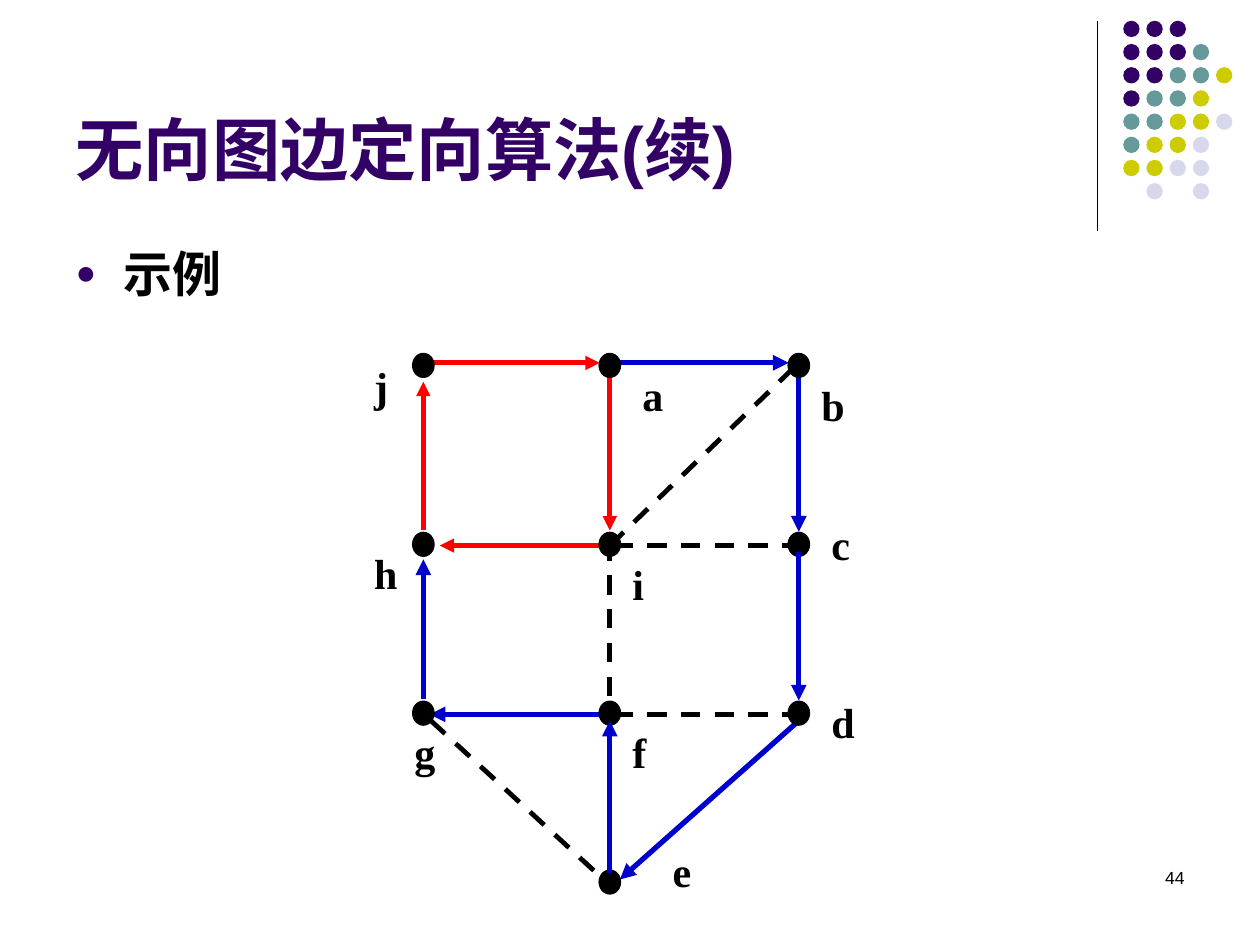
from dataclasses import dataclass

from lxml.etree import SubElement
from pptx import Presentation
from pptx.dml.color import RGBColor
from pptx.enum.dml import MSO_LINE
from pptx.enum.shapes import MSO_CONNECTOR, MSO_SHAPE
from pptx.enum.text import MSO_ANCHOR, MSO_AUTO_SIZE, PP_ALIGN
from pptx.oxml.ns import qn
from pptx.util import Inches, Pt


@dataclass(frozen=True)
class Theme:
    purple: str = "330066"
    teal: str = "669999"
    lime: str = "CCCC00"
    lilac: str = "D8D8EC"
    black: str = "000000"
    red: str = "FF0000"
    blue: str = "0000CC"
    font: str = "Arial"
    label_font: str = "Times New Roman"
    title_size: int = 39
    body_size: int = 28
    label_size: int = 24
    number_size: int = 10


THEME = Theme()

# Rows of the corner ornament: one letter per dot, a point for a gap
ORNAMENT = ("PPP..", "PPPT.", "PPTTL", "PTTL.", "TTLLV", "TLLV.", "LLVV.", ".V.V.")
ORNAMENT_COLORS = {"P": THEME.purple, "T": THEME.teal, "L": THEME.lime, "V": THEME.lilac}

# Graph lattice
COLUMNS = (3.36, 4.84, 6.34)
ROWS = (2.88, 4.33, 5.67, 6.98)
VERTEX_ROWS = (2.9, 4.32, 5.66, 7.0)

# Vertex: column, row, offset of its label box from the lattice point
VERTICES = {
    "j": (0, 0, -0.49, -0.07),
    "a": (1, 0, 0.16, 0),
    "b": (2, 0, 0.08, 0.08),
    "h": (0, 1, -0.49, -0.03),
    "i": (1, 1, 0.08, 0.05),
    "c": (2, 1, 0.16, -0.26),
    "g": (0, 2, -0.17, 0.05),
    "f": (1, 2, 0.08, 0.05),
    "d": (2, 2, 0.16, -0.19),
    "e": (1, 3, 0.4, -0.32),
}

# Edge: its two vertices, kind, offset of each end from the lattice point
EDGES_BELOW = (
    ("ib", "back", (0, 0), (0, 0)),
    ("ic", "back", (0.03, 0), (-0.03, 0)),
    ("fd", "back", (0.03, 0), (-0.03, 0)),
    ("ge", "back", (0.06, 0.05), (-0.05, 0)),
    ("if", "back", (0, -0.03), (0, 0.05)),
    ("ja", "cycle", (0.06, 0), (-0.08, 0)),
    ("ai", "cycle", (0, 0.07), (0, -0.12)),
    ("ih", "cycle", (0.08, 0), (0.13, 0)),
    ("hj", "cycle", (0, -0.12), (0, 0.15)),
    ("ab", "path", (0.08, 0), (-0.08, 0)),
    ("bc", "path", (0, 0.08), (0, -0.11)),
    ("de", "path", (0, 0.05), (0.08, 0)),
    ("fg", "path", (0, 0), (0.05, 0)),
    ("gh", "path", (0, -0.12), (0, 0.11)),
)
EDGES_ABOVE = (
    ("cd", "path", (0, 0.05), (0, -0.11)),
    ("ef", "path", (0, -0.05), (0, 0.05)),
)
EDGE_STYLES = {
    "back": {"color": THEME.black, "width": 2.75, "dashed": True},
    "cycle": {"color": THEME.red, "width": 2.75, "arrow": True},
    "path": {"color": THEME.blue, "width": 3, "arrow": True},
}


def write_text(tf, text, *, size, font=THEME.font, color=THEME.black, bold=False,
               align=PP_ALIGN.LEFT):
    p = tf.paragraphs[0]
    p.alignment = align
    p.space_before = Pt(0)
    r = p.add_run()
    r.text = text
    r.font.name = font
    r.font.size = Pt(size)
    r.font.bold = bold
    r.font.color.rgb = RGBColor.from_string(color)
    return p


def place(sp, left, top, width, height):
    sp.left, sp.top = Inches(left), Inches(top)
    sp.width, sp.height = Inches(width), Inches(height)


def add_text_box(slide, box, text, **text_format):
    tf = slide.shapes.add_textbox(*map(Inches, box)).text_frame
    tf.word_wrap = True
    write_text(tf, text, **text_format)


def add_dot(slide, center, size, color, outlined=False):
    (x, y), (width, height) = center, size
    box = x - width / 2, y - height / 2, width, height
    sp = slide.shapes.add_shape(MSO_SHAPE.OVAL, *map(Inches, box))
    sp.shadow.inherit = False
    sp.fill.solid()
    sp.fill.fore_color.rgb = RGBColor.from_string(color)
    if outlined:
        sp.line.color.rgb = RGBColor.from_string(color)
        sp.line.width = Pt(0.75)
    else:
        sp.line.fill.background()


def add_line(slide, start, end, *, color, width, dashed=False, arrow=False):
    line = slide.shapes.add_connector(MSO_CONNECTOR.STRAIGHT, *map(Inches, (*start, *end)))
    line.line.color.rgb = RGBColor.from_string(color)
    line.line.width = Pt(width)
    if dashed:
        line.line.dash_style = MSO_LINE.DASH
    if arrow:
        SubElement(line.line._get_or_add_ln(), qn("a:tailEnd"), type="triangle")
    SubElement(line._element.spPr, qn("a:effectLst"))


def add_bullet(p, indent):
    pPr = p._p.get_or_add_pPr()
    pPr.set("marL", str(Inches(indent)))
    pPr.set("indent", str(-Inches(indent)))
    SubElement(SubElement(pPr, qn("a:buClr")), qn("a:srgbClr"), val=THEME.purple)
    SubElement(pPr, qn("a:buSzPct"), val="70000")
    SubElement(pPr, qn("a:buChar"), char="●")


def add_ornament(slide):
    add_line(slide, (8.71, 0.17), (8.71, 1.83), color=THEME.black, width=0.75)
    left, top, pitch = 8.98, 0.23, 0.184
    for row, letters in enumerate(ORNAMENT):
        for col, letter in enumerate(letters):
            if letter in ORNAMENT_COLORS:
                add_dot(slide, (left + col * pitch, top + row * pitch), (0.13, 0.13),
                        ORNAMENT_COLORS[letter])


def add_heading(slide):
    title, body = slide.shapes.title, slide.placeholders[1]
    place(title, 0.5, 0.13, 8.25, 1.42)
    place(body, 0.5, 1.88, 9, 0.69)
    for sp, anchor in ((title, MSO_ANCHOR.BOTTOM), (body, MSO_ANCHOR.TOP)):
        sp.text_frame.auto_size = MSO_AUTO_SIZE.NONE
        sp.text_frame.vertical_anchor = anchor
    write_text(title.text_frame, "无向图边定向算法(续)", size=THEME.title_size,
               color=THEME.purple, bold=True)
    p = write_text(body.text_frame, "示例", size=THEME.body_size, bold=True)
    add_bullet(p, 0.38)


def add_edges(slide, edges):
    for names, kind, *offsets in edges:
        ends = []
        for name, (dx, dy) in zip(names, offsets):
            col, row = VERTICES[name][:2]
            ends.append((COLUMNS[col] + dx, ROWS[row] + dy))
        add_line(slide, *ends, **EDGE_STYLES[kind])


def add_vertices(slide):
    for name, (col, row, dx, dy) in VERTICES.items():
        add_dot(slide, (COLUMNS[col], VERTEX_ROWS[row]), (0.17, 0.19), THEME.black,
                outlined=True)
        add_text_box(slide, (COLUMNS[col] + dx, ROWS[row] + dy, 0.39, 0.5), name,
                     size=THEME.label_size, font=THEME.label_font, bold=True)


def main():
    prs = Presentation()
    prs.slide_width, prs.slide_height = Inches(10), Inches(7.5)
    slide = prs.slides.add_slide(prs.slide_layouts[1])
    add_ornament(slide)
    add_heading(slide)
    add_edges(slide, EDGES_BELOW)
    add_vertices(slide)
    add_edges(slide, EDGES_ABOVE)
    add_text_box(slide, (7.17, 6.83, 2.33, 0.5), "44", size=THEME.number_size,
                 align=PP_ALIGN.RIGHT)
    prs.save("out.pptx")


if __name__ == "__main__":
    main()
